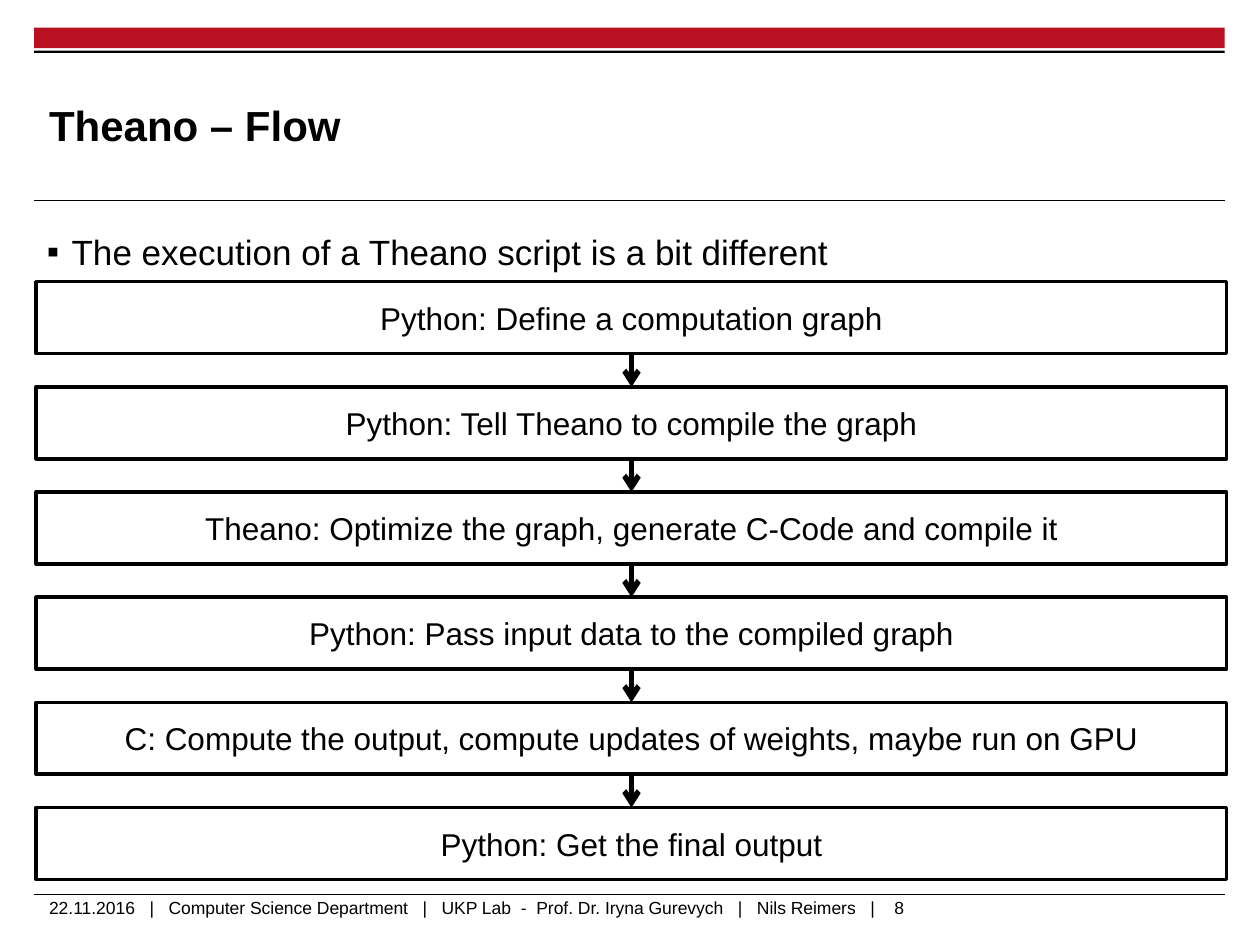
"""Build the slide that shows the steps of running a Theano script."""
from dataclasses import dataclass
from typing import Any

from lxml import etree
from pptx import Presentation
from pptx.dml.color import RGBColor
from pptx.enum.shapes import MSO_CONNECTOR, MSO_SHAPE
from pptx.enum.text import MSO_ANCHOR, MSO_AUTO_SIZE, PP_ALIGN
from pptx.oxml.ns import qn
from pptx.util import Cm, Pt

RECTANGLE = MSO_SHAPE.RECTANGLE
STRAIGHT = MSO_CONNECTOR.STRAIGHT
MIDDLE, TOP = MSO_ANCHOR.MIDDLE, MSO_ANCHOR.TOP
LEFT, CENTER = PP_ALIGN.LEFT, PP_ALIGN.CENTER
NO_FIT = MSO_AUTO_SIZE.NONE
BOTTOM_SITE, TOP_SITE = 2, 0


@dataclass(frozen=True)
class Theme:
    font: str = "Arial"
    ink: RGBColor = RGBColor(0x00, 0x00, 0x00)
    accent: RGBColor = RGBColor(0xB9, 0x10, 0x22)
    title_size: float = 24
    body_size: float = 20
    step_size: float = 18
    footer_size: float = 10
    rule_width: float = 0.6
    box_width: float = 2
    arrow_width: float = 3


@dataclass(frozen=True)
class Area:
    left: float
    top: float
    width: float
    height: float

    def lengths(self) -> tuple:
        return Cm(self.left), Cm(self.top), Cm(self.width), Cm(self.height)


THEME = Theme()
BAND = Area(0.69, 0.56, 24, 0.41)
BAND_RULE = Area(0.69, 1.02, 24, 0.05)
TITLE = Area(0.99, 1.35, 19.1, 2.34)
BODY = Area(0.69, 4.52, 24, 13.2)
FOOTER = Area(0.99, 18.08, 22.1, 0.64)
PAGE_NUMBER = Area(17.78, 17.96, 1.22, 0.69)
RULE_HEIGHTS = (4.04, 18.03)
FIRST_STEP = Area(0.73, 5.68, 24, 1.45)
STEP_PITCH = 2.12
STEPS = (
    "Python: Define a computation graph",
    "Python: Tell Theano to compile the graph",
    "Theano: Optimize the graph, generate C-Code and compile it",
    "Python: Pass input data to the compiled graph",
    "C: Compute the output, compute updates of weights, maybe run on GPU",
    "Python: Get the final output",
)
FOOTER_TEXT = ("22.11.2016   |   Computer Science Department   |   "
               "UKP Lab  -  Prof. Dr. Iryna Gurevych   |   Nils Reimers   |")
NO_MARGINS = dict.fromkeys(
    ("margin_left", "margin_top", "margin_right", "margin_bottom"), 0)


def apply(target: Any, values: dict) -> None:
    for name, value in values.items():
        setattr(target, name, value)


def place(shape: Any, area: Area) -> None:
    apply(shape, dict(zip(("left", "top", "width", "height"), area.lengths())))


def write(shape: Any, text: str, size: float, frame: dict,
          align: Any = LEFT, bold: bool = False) -> Any:
    apply(shape.text_frame, {"auto_size": NO_FIT, "word_wrap": True} | frame)
    para = shape.text_frame.paragraphs[0]
    apply(para, {"alignment": align, "space_before": Pt(0)})
    span = para.add_run()
    span.text = text
    apply(span.font, {"name": THEME.font, "size": Pt(size), "bold": bold})
    span.font.color.rgb = THEME.ink
    return para


def add_bar(page: Any, area: Area, color: RGBColor) -> None:
    bar = page.shapes.add_shape(RECTANGLE, *area.lengths())
    bar.shadow.inherit = False
    bar.fill.solid()
    bar.fill.fore_color.rgb = color
    bar.line.fill.background()


def add_line(page: Any, start: tuple, end: tuple, width: float) -> Any:
    line = page.shapes.add_connector(STRAIGHT, *map(Cm, start + end))
    line.line.color.rgb = THEME.ink
    line.line.width = Pt(width)
    etree.SubElement(line._element.spPr, qn("a:effectLst"))
    return line


def add_step(page: Any, text: str, area: Area) -> Any:
    box = page.shapes.add_shape(RECTANGLE, *area.lengths())
    box.shadow.inherit = False
    box.fill.background()
    box.line.color.rgb = THEME.ink
    box.line.width = Pt(THEME.box_width)
    write(box, text, THEME.step_size, {"vertical_anchor": MIDDLE}, CENTER)
    return box


def add_arrow(page: Any, upper: Any, lower: Any) -> None:
    arrow = add_line(page, (0, 0), (0, 0), THEME.arrow_width)
    arrow.begin_connect(upper, BOTTOM_SITE)
    arrow.end_connect(lower, TOP_SITE)
    outline = arrow.line._get_or_add_ln()
    etree.SubElement(outline, qn("a:tailEnd"), type="arrow")


def add_bullet(para: Any, indent: float) -> None:
    properties = para._p.get_or_add_pPr()
    apply_indent = {"marL": str(Cm(indent)), "indent": str(-Cm(indent))}
    for name, value in apply_indent.items():
        properties.set(name, value)
    etree.SubElement(properties, qn("a:buFont"), typeface=THEME.font)
    etree.SubElement(properties, qn("a:buChar"), char="▪")


def main() -> None:
    deck = Presentation()
    apply(deck, {"slide_width": Cm(25.4), "slide_height": Cm(19.05)})
    page = deck.slides.add_slide(deck.slide_layouts[1])

    add_bar(page, BAND, THEME.accent)
    add_bar(page, BAND_RULE, THEME.ink)
    for height in RULE_HEIGHTS:
        add_line(page, (BAND.left, height), (BAND.left + BAND.width, height),
                 THEME.rule_width)

    title, body = page.placeholders
    place(title, TITLE)
    write(title, "Theano – Flow", THEME.title_size,
          NO_MARGINS | {"vertical_anchor": MIDDLE}, bold=True)
    place(body, BODY)
    bullet = write(body, "The execution of a Theano script is a bit different",
                   THEME.body_size, {"vertical_anchor": TOP})
    add_bullet(bullet, 0.5)

    footer = page.shapes.add_textbox(*FOOTER.lengths())
    write(footer, FOOTER_TEXT, THEME.footer_size, NO_MARGINS)
    number = page.shapes.add_textbox(*PAGE_NUMBER.lengths())
    write(number, "8", THEME.footer_size, {"word_wrap": False})

    boxes = [
        add_step(page, text, Area(FIRST_STEP.left,
                                  FIRST_STEP.top + index * STEP_PITCH,
                                  FIRST_STEP.width, FIRST_STEP.height))
        for index, text in enumerate(STEPS)
    ]
    for upper, lower in zip(boxes, boxes[1:]):
        add_arrow(page, upper, lower)

    deck.save("out.pptx")


if __name__ == "__main__":
    main()
